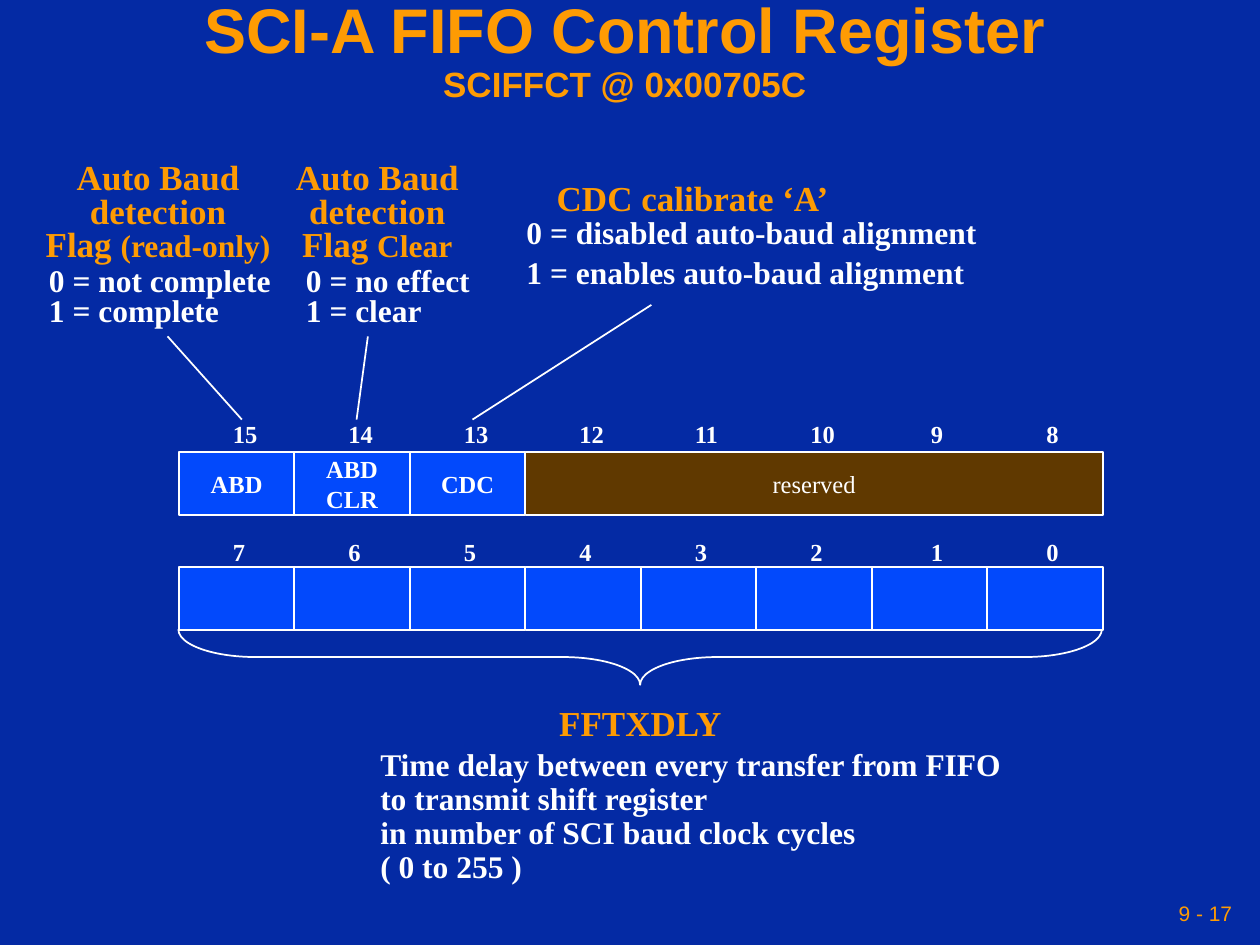
from lxml import etree
from pptx import Presentation
from pptx.dml.color import RGBColor
from pptx.enum.shapes import MSO_CONNECTOR, MSO_SHAPE
from pptx.enum.text import MSO_ANCHOR, MSO_AUTO_SIZE, PP_ALIGN
from pptx.oxml.ns import qn
from pptx.util import Inches, Pt

LEFT, CENTER, RIGHT = PP_ALIGN.LEFT, PP_ALIGN.CENTER, PP_ALIGN.RIGHT
TOP, MIDDLE = MSO_ANCHOR.TOP, MSO_ANCHOR.MIDDLE
NAVY = RGBColor(0x04, 0x2A, 0xA4)
BLUE = RGBColor(0x02, 0x49, 0xFC)
BROWN = RGBColor(0x60, 0x39, 0x00)
ORANGE = RGBColor(0xFE, 0x9B, 0x03)
WHITE = RGBColor(0xFF, 0xFF, 0xFF)
SERIF, SANS = "Times New Roman", "Arial"

TITLE = ("SCI-A FIFO Control Register", 36)
SUBTITLE = ("SCIFFCT @ 0x00705C", 20)
PAGE_NUMBER = "9 - 17"

GRID_LEFT, CELL_WIDTH, CELL_HEIGHT = 1.42, 5.5 / 6, 0.5
REGISTER_ROWS = [
    {"label_top": 3.28, "top": 3.59, "high_bit": 15,
     "fields": [(["ABD"], 1), (["ABD", "CLR"], 1), (["CDC"], 1), (["reserved"], 5)]},
    {"label_top": 4.21, "top": 4.5, "high_bit": 7, "fields": [([], 1)] * 8},
]

# (box, lines of (text, size) runs, colour, alignment, space before later lines)
NOTES = [
    ((0.24, 1.25, 2.03, 0.9),
     [[("Auto Baud", 20)], [("detection", 20)], [("Flag ", 20), ("(read-only)", 18)]],
     ORANGE, CENTER, 0),
    ((0.29, 2.08, 2.02, 0.58),
     [[("0 = not complete", 18)], [("1 = complete", 18)]], WHITE, LEFT, 0),
    ((2.23, 1.25, 1.53, 0.9),
     [[("Auto Baud", 20)], [("detection", 20)], [("Flag ", 20), ("Clear", 18)]],
     ORANGE, CENTER, 0),
    ((2.33, 2.08, 1.56, 0.58),
     [[("0 = no effect", 18)], [("1 = clear", 18)]], WHITE, LEFT, 0),
    ((4.32, 1.42, 2.44, 0.37), [[("CDC calibrate ‘A’", 20)]], ORANGE, LEFT, 0),
    ((4.08, 1.7, 3.85, 0.66),
     [[("0 = disabled auto-baud alignment", 18)],
      [("1 = enables auto-baud alignment", 18)]], WHITE, LEFT, 5.6),
    ((4.34, 5.58, 1.57, 0.37), [[("FFTXDLY", 20)]], ORANGE, LEFT, 0),
    ((2.92, 5.92, 5.2, 1.16),
     [[("Time delay between every transfer from FIFO", 18)],
      [("to transmit shift register", 18)],
      [("in number of SCI baud clock cycles", 18)],
      [("( 0 to 255 )", 18)]], WHITE, LEFT, 2.2),
]
LEADERS = [((1.92, 3.33), (1.33, 2.67)), ((2.83, 3.33), (2.92, 2.67)),
           ((3.75, 3.33), (5.17, 2.42))]


def add_run(paragraph, text, size, color, font_name=SERIF, bold=True):
    run = paragraph.add_run()
    run.text = text
    run.font.name, run.font.size, run.font.bold = font_name, Pt(size), bold
    run.font.color.rgb = color


def set_margins(frame, horizontal):
    frame.margin_left = frame.margin_right = Inches(horizontal)
    frame.margin_top = frame.margin_bottom = Inches(0.05)


def write_lines(frame, lines, color, align, anchor=TOP, spacing=1.0, before=0,
                font_name=SERIF, bold=True, margin=0.1):
    frame.word_wrap = True
    frame.vertical_anchor = anchor
    set_margins(frame, margin)
    for index, runs in enumerate(lines):
        paragraph = frame.add_paragraph() if index else frame.paragraphs[0]
        paragraph.alignment = align
        paragraph.line_spacing = spacing
        if index and before:
            paragraph.space_before = Pt(before)
        for text, size in runs:
            add_run(paragraph, text, size, color, font_name, bold)


def add_text(slide, box, lines, color, align, grow=True, **style):
    frame = slide.shapes.add_textbox(*map(Inches, box)).text_frame
    write_lines(frame, lines, color, align, **style)
    if grow:
        frame.auto_size = MSO_AUTO_SIZE.SHAPE_TO_FIT_TEXT


def add_outlined(slide, kind, box):
    shape = slide.shapes.add_shape(kind, *map(Inches, box))
    shape.shadow.inherit = False
    shape.line.color.rgb = WHITE
    shape.line.width = Pt(1)
    return shape


def add_title(slide):
    title = slide.shapes.title
    title.left, title.top, title.width, title.height = map(Inches, (0, 0, 9.92, 0.83))
    frame = title.text_frame
    frame.word_wrap = True
    frame.auto_size = MSO_AUTO_SIZE.NONE
    frame.vertical_anchor = MIDDLE
    set_margins(frame, 0.05)
    paragraph = frame.paragraphs[0]
    paragraph.alignment = CENTER
    paragraph.line_spacing = 0.9
    add_run(paragraph, *TITLE, ORANGE, SANS)
    paragraph.add_line_break()
    add_run(paragraph, *SUBTITLE, ORANGE, SANS)


def add_register_row(slide, row):
    for column in range(8):
        label = str(row["high_bit"] - column)
        nudge = 0.04 if column > 5 else 0
        left = GRID_LEFT + 0.33 + column * CELL_WIDTH + nudge
        width = 0.24 + 0.1 * len(label)
        add_text(slide, (left, row["label_top"], width, 0.34), [[(label, 14)]], WHITE, LEFT)
    column = 0
    for names, span in row["fields"]:
        reserved = span > 1
        box = (GRID_LEFT + column * CELL_WIDTH, row["top"], span * CELL_WIDTH, CELL_HEIGHT)
        cell = add_outlined(slide, MSO_SHAPE.RECTANGLE, box)
        cell.fill.solid()
        cell.fill.fore_color.rgb = BROWN if reserved else BLUE
        write_lines(cell.text_frame, [[(name, 14)] for name in names], WHITE, CENTER,
                    anchor=MIDDLE, bold=not reserved)
        column += span


def add_brace(slide):
    brace = add_outlined(slide, MSO_SHAPE.RIGHT_BRACE, (4.86, 1.55, 0.44, 7.33))
    brace.rotation = 90
    brace.adjustments[0] = 1.39
    brace.fill.background()


def add_leader(slide, start, end):
    line = slide.shapes.add_connector(MSO_CONNECTOR.STRAIGHT, *map(Inches, start + end))
    line.line.color.rgb = WHITE
    line.line.width = Pt(1)
    etree.SubElement(line._element.spPr, qn("a:effectLst"))


def main():
    presentation = Presentation()
    presentation.slide_width, presentation.slide_height = Inches(10), Inches(7.5)
    slide = presentation.slides.add_slide(presentation.slide_layouts[5])
    slide.background.fill.solid()
    slide.background.fill.fore_color.rgb = NAVY
    add_title(slide)
    for row in REGISTER_ROWS:
        add_register_row(slide, row)
    add_brace(slide)
    for box, lines, color, align, before in NOTES:
        add_text(slide, box, lines, color, align, spacing=0.8, before=before)
    for start, end in LEADERS:
        add_leader(slide, start, end)
    add_text(slide, (6.83, 7.08, 3, 0.33), [[(PAGE_NUMBER, 12)]], ORANGE, RIGHT, grow=False,
             anchor=MIDDLE, font_name=SANS, bold=False, margin=0.05)
    presentation.save("out.pptx")


if __name__ == "__main__":
    main()
